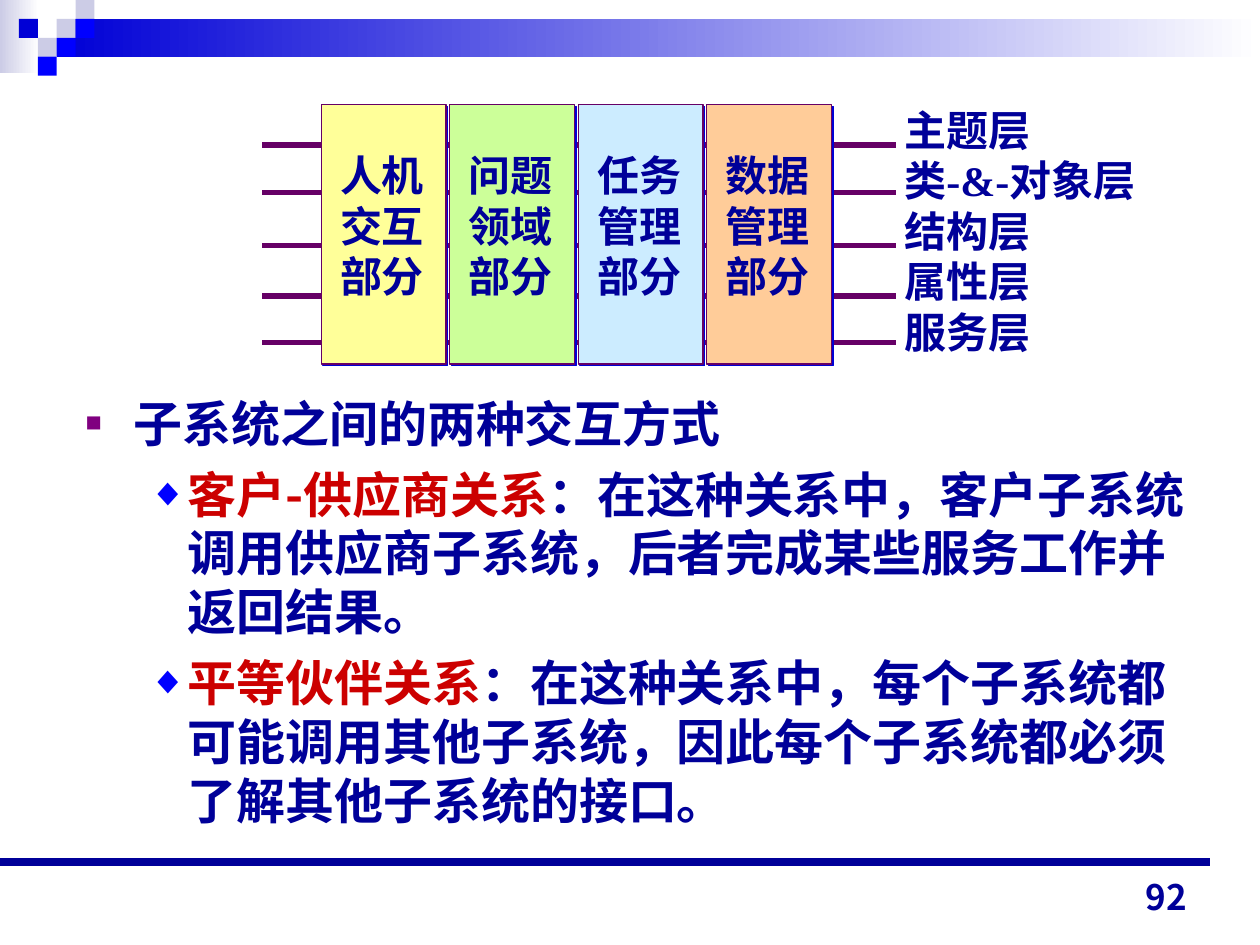
from lxml.etree import SubElement
from pptx import Presentation
from pptx.dml.color import RGBColor
from pptx.enum.shapes import MSO_CONNECTOR, MSO_SHAPE
from pptx.enum.text import MSO_ANCHOR, MSO_AUTO_SIZE, PP_ALIGN
from pptx.oxml.ns import qn
from pptx.util import Pt

PX = 9144
COLORS = {
    "white": "FFFFFF", "lavender": "CCCCE6", "royal": "0000D6", "blue": "0000FF",
    "navy": "000099", "purple": "660066", "bullet": "800080", "red": "CC0000",
    "yellow": "FFFF99", "green": "CCFF99", "sky": "CCECFF", "peach": "FFCC99",
}
CJK = "Noto Sans CJK SC"
LINE_HEIGHT = 1.2


def rgb(name):
    return RGBColor.from_string(COLORS[name])


def emu(*lengths):
    return [length * PX for length in lengths]


def add_text(paragraph, text, size=24, font=CJK, east_asian=CJK, color="navy"):
    run = paragraph.add_run()
    run.text = text
    run.font.size = Pt(size)
    run.font.bold = True
    run.font.name = font
    run.font.color.rgb = rgb(color)
    SubElement(run.font._element, qn("a:ea"), typeface=east_asian)


def add_rect(slide, box, color, fade=False):
    rect = slide.shapes.add_shape(MSO_SHAPE.RECTANGLE, *emu(*box))
    rect.shadow.inherit = False
    rect.line.fill.background()
    if fade:
        rect.fill.gradient()
        rect.fill.gradient_angle = 180
        start, end = rect.fill.gradient_stops
        start.color.rgb, start.position = rgb("white"), 0
        end.color.rgb, end.position = rgb(color), 1
    else:
        rect.fill.solid()
        rect.fill.fore_color.rgb = rgb(color)
    return rect


def add_line(slide, start, end, color, width):
    line = slide.shapes.add_connector(MSO_CONNECTOR.STRAIGHT, *emu(*start, *end))
    line.line.color.rgb = rgb(color)
    line.line.width = Pt(width)
    SubElement(line._element.spPr, qn("a:effectLst"))


def add_lines_of_text(slide, box, lines, font):
    frame = slide.shapes.add_textbox(*emu(*box)).text_frame
    frame.word_wrap = False
    frame.auto_size = MSO_AUTO_SIZE.SHAPE_TO_FIT_TEXT
    for index, text in enumerate(lines):
        paragraph = frame.paragraphs[0] if index == 0 else frame.add_paragraph()
        paragraph.line_spacing = Pt(24 * LINE_HEIGHT)
        add_text(paragraph, text, font=font)


def add_header(slide, box):
    left, top, width, height = box
    cell = 15
    add_rect(slide, (left, top, 31, height), "lavender", fade=True)
    add_rect(slide, (left + 45, top + cell, width - 45, 2 * cell), "royal", fade=True)
    mosaic = [(3, 1, "lavender"), (4, 0, "lavender"), (4, 1, "blue"), (2, 2, "lavender"),
              (1, 1, "royal"), (3, 2, "blue"), (2, 3, "blue")]
    for column, row, color in mosaic:
        add_rect(slide, (left + column * cell, top + row * cell, cell, cell), color)


def add_card(slide, box, lines, color):
    left, top, width, height = box
    card = add_rect(slide, box, color)
    card.line.color.rgb = rgb("purple")
    card.line.width = Pt(0.75)
    effects = card._element.spPr.find(qn("a:effectLst"))
    shadow = SubElement(effects, qn("a:outerShdw"), dist=str(Pt(1.4)),
                        dir="2700000", algn="ctr", rotWithShape="0")
    SubElement(shadow, qn("a:srgbClr"), val=COLORS["royal"])
    add_lines_of_text(slide, (left + 5, top + 31, 88, 130), lines, "Arial")


def add_subsystem_diagram(slide, box):
    left, top, width, height = box
    for offset in (32, 70, 112, 152, 189):
        add_line(slide, (left, top + offset), (left + 503, top + offset), "purple", 3)
    layers = ["主题层", "类-&-对象层", "结构层", "属性层", "服务层"]
    add_lines_of_text(slide, (left + 500, top - 5, width - 500, 210), layers, "Times New Roman")
    subsystems = [
        (("人机", "交互", "部分"), "yellow"),
        (("问题", "领域", "部分"), "green"),
        (("任务", "管理", "部分"), "sky"),
        (("数据", "管理", "部分"), "peach"),
    ]
    for index, (lines, color) in enumerate(subsystems):
        add_card(slide, (left + 47 + index * 102, top, 99, height), lines, color)


def set_bullet(paragraph, symbol, color, percent, margin, hanging):
    properties = paragraph._p.get_or_add_pPr()
    properties.set("marL", str(margin * PX))
    properties.set("indent", str(-hanging * PX))
    bullet_color = SubElement(properties, qn("a:buClr"))
    SubElement(bullet_color, qn("a:srgbClr"), val=COLORS[color])
    SubElement(properties, qn("a:buSzPct"), val=str(percent * 1000))
    SubElement(properties, qn("a:buFont"), typeface="Arial")
    SubElement(properties, qn("a:buChar"), char=symbol)


def add_interactions(slide, box):
    body = slide.placeholders[1]
    body.left, body.top, body.width, body.height = emu(*box)
    frame = body.text_frame
    frame.auto_size = MSO_AUTO_SIZE.NONE
    frame.vertical_anchor = MSO_ANCHOR.TOP
    items = [
        (0, CJK, "", "子系统之间的两种交互方式"),
        (1, CJK, "客户-供应商关系",
         "：在这种关系中，客户子系统调用供应商子系统，后者完成某些服务工作并返回结果。"),
        (1, "Times New Roman", "平等伙伴关系",
         "：在这种关系中，每个子系统都可能调用其他子系统，因此每个子系统都必须了解其他子系统的接口。"),
    ]
    bullets = [("■", "bullet", 55, 38, 38), ("◆", "blue", 80, 81, 31)]
    for index, (level, font, term, explanation) in enumerate(items):
        paragraph = frame.paragraphs[0] if index == 0 else frame.add_paragraph()
        paragraph.level = level
        paragraph.alignment = PP_ALIGN.LEFT
        paragraph.space_before = Pt(7)
        paragraph.line_spacing = Pt(28 * LINE_HEIGHT)
        set_bullet(paragraph, *bullets[level])
        if term:
            add_text(paragraph, term, size=28, font=font, color="red")
        add_text(paragraph, explanation, size=28, font=font)


def add_footer(slide, box):
    left, top, width, height = box
    add_line(slide, (left, top), (left + width, top), "navy", 4.5)
    frame = slide.shapes.add_textbox(*emu(left + 719, top - 1, 233, height)).text_frame
    frame.word_wrap = True
    frame.vertical_anchor = MSO_ANCHOR.BOTTOM
    paragraph = frame.paragraphs[0]
    paragraph.alignment = PP_ALIGN.RIGHT
    add_text(paragraph, "92", size=20, font="Noto Sans CJK JP", east_asian="Noto Sans CJK JP")


def main():
    presentation = Presentation()
    presentation.slide_width, presentation.slide_height = emu(1000, 750)
    slide = presentation.slides.add_slide(presentation.slide_layouts[1])
    title = slide.shapes.title.element
    title.getparent().remove(title)
    add_header(slide, (0, 0, 1000, 58))
    add_interactions(slide, (58, 307, 900, 364))
    add_subsystem_diagram(slide, (208, 83, 719, 206))
    add_footer(slide, (0, 684, 960, 50))
    presentation.save("out.pptx")


if __name__ == "__main__":
    main()
